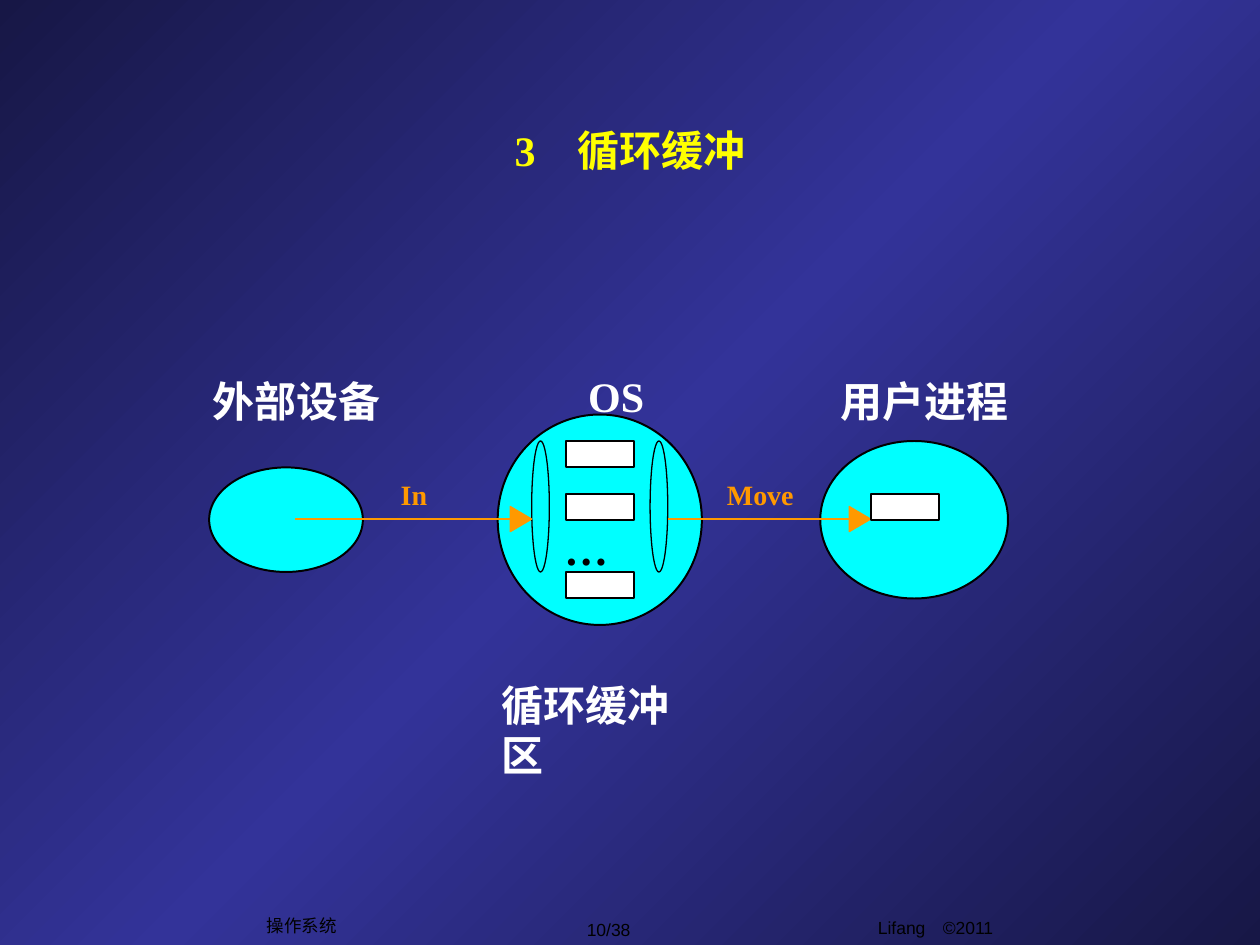
from copy import deepcopy
from typing import NamedTuple, Optional

from pptx import Presentation
from pptx.dml.color import RGBColor
from pptx.enum.shapes import MSO_CONNECTOR, MSO_SHAPE
from pptx.enum.text import MSO_ANCHOR, PP_ALIGN
from pptx.oxml.ns import qn
from pptx.util import Inches, Pt

OVAL, RECT = MSO_SHAPE.OVAL, MSO_SHAPE.RECTANGLE
STRAIGHT = MSO_CONNECTOR.STRAIGHT
LEFT, CENTER = PP_ALIGN.LEFT, PP_ALIGN.CENTER
TOP, MIDDLE = MSO_ANCHOR.TOP, MSO_ANCHOR.MIDDLE

NAVY = RGBColor(0x17, 0x17, 0x46)
INDIGO = RGBColor(0x33, 0x33, 0x99)
CYAN = RGBColor(0x00, 0xFF, 0xFF)
ORANGE = RGBColor(0xFF, 0x99, 0x00)
YELLOW = RGBColor(0xFF, 0xFF, 0x00)
WHITE = RGBColor(0xFF, 0xFF, 0xFF)
BLACK = RGBColor(0x00, 0x00, 0x00)

SERIF, SANS = "Times New Roman", "Arial"
FLOW_Y = 4.12
HEAD_LENGTH = 0.17
SLOT_WIDTH, SLOT_HEIGHT = 0.54, 0.21


class Box(NamedTuple):
    left: float
    top: float
    width: float
    height: float


class Node(NamedTuple):
    box: Box
    preset: int = OVAL
    fill: Optional[RGBColor] = CYAN
    line_width: float = 1.13


class Label(NamedTuple):
    text: str
    box: Box
    size: float = 24
    color: RGBColor = WHITE
    inset: bool = True


class Footer(NamedTuple):
    text: str
    box: Box
    anchor: int = MIDDLE
    wrap: bool = False


class Flow(NamedTuple):
    start: float
    tip: float


def slot(left: float, top: float) -> Node:
    return Node(Box(left, top, SLOT_WIDTH, SLOT_HEIGHT), RECT, WHITE)


def pointer_ring(left: float) -> Node:
    return Node(Box(left, 3.5, 0.14, 1.04), fill=None, line_width=0.75)


NODES = [
    Node(Box(3.95, 3.29, 1.62, 1.67)),
    Node(Box(1.66, 3.71, 1.22, 0.83)),
    Node(Box(6.51, 3.5, 1.49, 1.25)),
    *(slot(4.49, top) for top in (3.5, 3.92, 4.54)),
    pointer_ring(4.22),
    pointer_ring(5.16),
]
FLOWS = [Flow(2.34, 4.22), Flow(5.3, 6.91)]
USER_SLOT = slot(6.91, 3.92)
LABELS = [
    Label("外部设备", Box(1.59, 2.93, 1.53, 0.5)),
    Label("OS", Box(4.57, 2.89, 0.65, 0.5)),
    Label("用户进程", Box(6.57, 2.93, 1.53, 0.5)),
    Label("In", Box(3.18, 3.79, 0.21, 0.27), 16, ORANGE, False),
    Label("Move", Box(5.77, 3.79, 0.53, 0.27), 16, ORANGE, False),
    Label("…", Box(4.48, 4.14, 0.35, 0.42), 25, BLACK, False),
    Label("循环缓冲区", Box(3.88, 5.34, 1.86, 0.5)),
]
FOOTERS = [
    Footer("Lifang　©2011", Box(5.84, 7.23, 3.17, 0.35), TOP, True),
    Footer("10/38", Box(4.32, 7.24, 1.02, 0.27)),
    Footer("操作系统", Box(2.02, 7.21, 0.75, 0.27)),
]


def emu(box: Box) -> list:
    return [Inches(length) for length in box]


def write(frame, text: str, *, size: float = 24, color: RGBColor = WHITE,
          font: str = SERIF, bold: bool = True, align: int = LEFT,
          anchor: int = TOP, wrap: bool = False, inset: bool = True) -> None:
    frame.word_wrap = wrap
    frame.vertical_anchor = anchor
    frame.margin_left = frame.margin_right = Inches(0.1 if inset else 0)
    frame.margin_top = frame.margin_bottom = Inches(0.05 if inset else 0)
    paragraph = frame.paragraphs[0]
    paragraph.alignment = align
    run = paragraph.add_run()
    run.text = text
    run.font.name = font
    run.font.size = Pt(size)
    run.font.bold = bold
    run.font.color.rgb = color


def paint_background(slide) -> None:
    fill = slide.background.fill
    fill.gradient()
    fill.gradient_angle = 135
    stop_list = slide.element.find(".//" + qn("a:gsLst"))
    stop_list.append(deepcopy(stop_list[0]))
    colors = (NAVY, INDIGO, NAVY)
    for stop, position, color in zip(fill.gradient_stops, (0, 0.5, 1), colors):
        stop.position = position
        stop.color.rgb = color


def style(shape, fill: Optional[RGBColor], line: RGBColor, width: float) -> None:
    shape.shadow.inherit = False
    if fill is None:
        shape.fill.background()
    else:
        shape.fill.solid()
        shape.fill.fore_color.rgb = fill
    shape.line.color.rgb = line
    shape.line.width = Pt(width)


def draw_node(slide, node: Node) -> None:
    shape = slide.shapes.add_shape(node.preset, *emu(node.box))
    style(shape, node.fill, BLACK, node.line_width)


def draw_flow(slide, flow: Flow) -> None:
    """Draw a level line that ends in a solid triangular head."""
    base = flow.tip - HEAD_LENGTH
    y = Inches(FLOW_Y)
    shaft = slide.shapes.add_connector(STRAIGHT, Inches(flow.start), y, Inches(base), y)
    shaft.line.color.rgb = ORANGE
    shaft.line.width = Pt(1.13)
    properties = shaft._element.spPr
    properties.append(properties.makeelement(qn("a:effectLst"), {}))

    builder = slide.shapes.build_freeform(Inches(base), Inches(FLOW_Y + 0.1))
    builder.add_line_segments(
        [(Inches(flow.tip), y), (Inches(base), Inches(FLOW_Y - 0.1))], close=True)
    style(builder.convert_to_shape(), ORANGE, ORANGE, 0.75)


def main() -> None:
    presentation = Presentation()
    presentation.slide_width, presentation.slide_height = Inches(10), Inches(7.5)
    slide = presentation.slides.add_slide(presentation.slide_layouts[5])
    paint_background(slide)

    for footer in FOOTERS:
        frame = slide.shapes.add_textbox(*emu(footer.box)).text_frame
        write(frame, footer.text, size=10, color=BLACK, font=SANS, bold=False,
              align=CENTER, anchor=footer.anchor, wrap=footer.wrap)

    title = slide.shapes.title
    title.left, title.top, title.width, title.height = emu(Box(0.75, 0.67, 8.5, 1.04))
    write(title.text_frame, "3　循环缓冲", color=YELLOW, align=CENTER,
          anchor=MIDDLE, wrap=True)

    for node in NODES:
        draw_node(slide, node)
    for flow in FLOWS:
        draw_flow(slide, flow)
    draw_node(slide, USER_SLOT)
    for label in LABELS:
        frame = slide.shapes.add_textbox(*emu(label.box)).text_frame
        write(frame, label.text, size=label.size, color=label.color, inset=label.inset)

    presentation.save("out.pptx")


if __name__ == "__main__":
    main()
